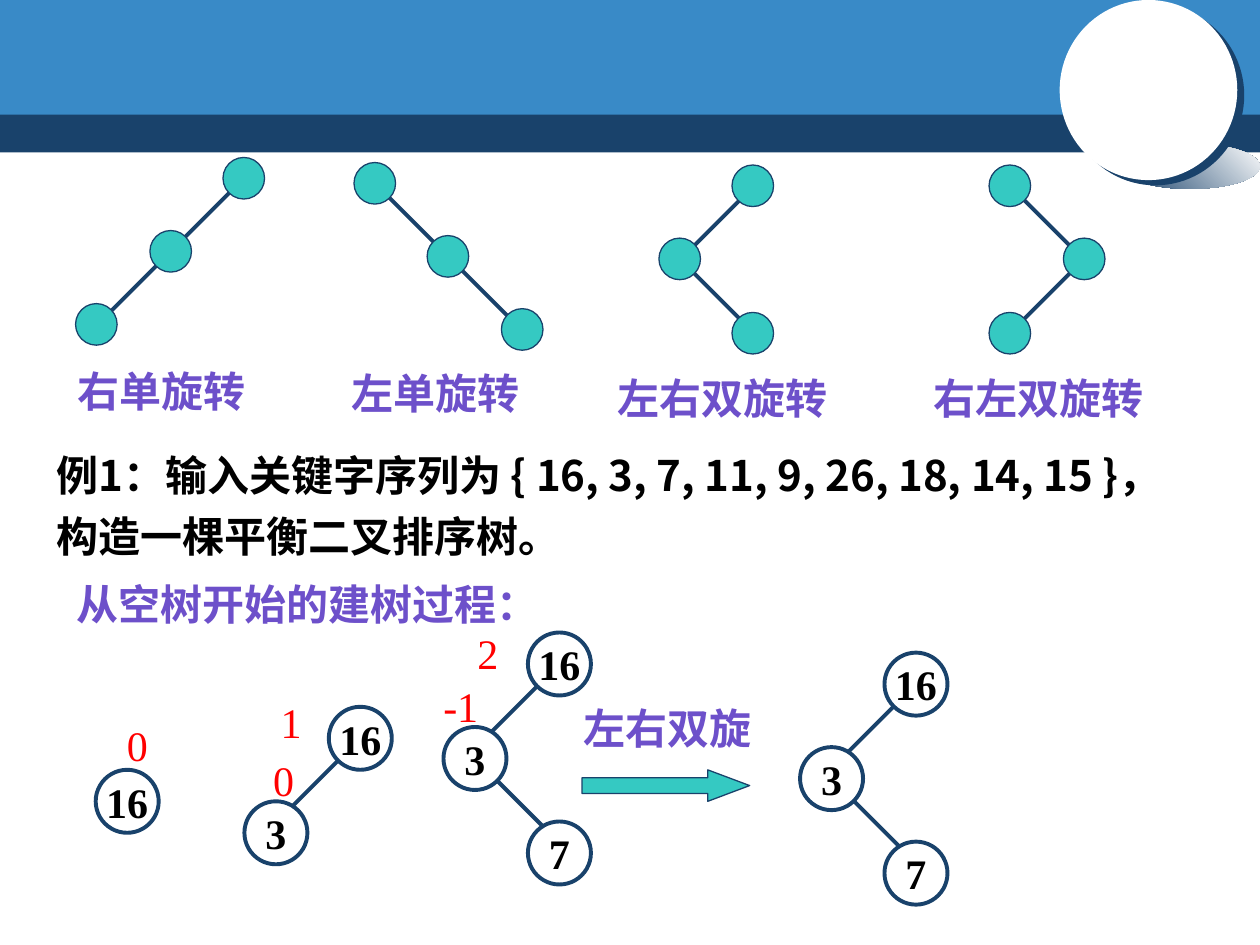
"""Builds the slide on rotations and balanced binary search trees."""
from lxml import etree
from pptx import Presentation
from pptx.dml.color import RGBColor
from pptx.enum.shapes import MSO_CONNECTOR, MSO_SHAPE
from pptx.enum.text import MSO_ANCHOR, PP_ALIGN
from pptx.oxml.ns import qn
from pptx.util import Inches, Pt

RECT, OVAL, ARROW = MSO_SHAPE.RECTANGLE, MSO_SHAPE.OVAL, MSO_SHAPE.RIGHT_ARROW
STRAIGHT = MSO_CONNECTOR.STRAIGHT
MIDDLE, CENTER = MSO_ANCHOR.MIDDLE, PP_ALIGN.CENTER
SANS, SERIF = "Noto Sans CJK SC", "Times New Roman"
COLORS = {"navy": "19426B", "blue": "398AC7", "teal": "35C9C2", "purple": "6D50CA",
          "red": "FF0000", "black": "000000", "white": "FFFFFF"}
DOT, NODE = 0.33, 0.5
STEP_X, STEP_Y = 0.67, 0.75


class SlideBuilder:
    def __init__(self, slide):
        self.s = slide

    def rgb(self, name):
        return RGBColor.from_string(COLORS[name])

    def shape(self, kind, x, y, w, h, fill, line=None):
        sp = self.s.shapes.add_shape(kind, Inches(x), Inches(y), Inches(w), Inches(h))
        sp.shadow.inherit = False
        sp.fill.solid()
        sp.fill.fore_color.rgb = self.rgb(fill)
        if line:
            sp.line.color.rgb = self.rgb("navy")
            sp.line.width = Pt(line)
        else:
            sp.line.fill.background()
        return sp

    def run(self, p, text, color, font=SERIF, bold=True):
        r = p.add_run()
        r.text = text
        r.font.size = Pt(24)
        r.font.bold = bold
        r.font.color.rgb = self.rgb(color)
        r.font.name = font
        etree.SubElement(r.font._element, qn("a:ea"), typeface=SANS)

    def text(self, x, y, w, h, text, color, font=SERIF, bold=True, spacing=1.0, wrap=False):
        sp = self.s.shapes.add_textbox(Inches(x), Inches(y), Inches(w), Inches(h))
        tf = sp.text_frame
        tf.word_wrap = wrap
        p = tf.paragraphs[0]
        p.line_spacing = spacing
        self.run(p, text, color, font, bold)

    def line(self, x1, y1, x2, y2):
        c = self.s.shapes.add_connector(STRAIGHT, Inches(x1), Inches(y1), Inches(x2), Inches(y2))
        c.line.color.rgb = self.rgb("navy")
        c.line.width = Pt(2.25)
        etree.SubElement(c._element.spPr, qn("a:effectLst"))

    def node(self, x, y, key):
        sp = self.shape(OVAL, x, y, NODE, NODE, "white", 2.25)
        tf = sp.text_frame
        tf.word_wrap = False
        tf.vertical_anchor = MIDDLE
        p = tf.paragraphs[0]
        p.alignment = CENTER
        self.run(p, key, "black")

    def edge(self, x, y, side):
        """Joins the node at x, y to its child on the left (-1) or right (1)."""
        cx, cy = x + NODE / 2, y + NODE / 2
        self.line(cx + side * 0.17, cy + 0.17,
                  cx + side * (STEP_X - 0.08), cy + STEP_Y - 0.16)

    def tree(self, x, y, keys):
        """Draws a root, its left child and that child's right child."""
        spots = [(x, y), (x - STEP_X, y + STEP_Y), (x, y + 2 * STEP_Y)]
        for (nx, ny), side in zip(spots[:len(keys) - 1], (-1, 1)):
            self.edge(nx, ny, side)
        for (nx, ny), key in zip(spots, keys):
            self.node(nx, ny, key)

    def balance(self, x, y, w, value):
        self.text(x, y, w, 0.5, value, "red", bold=False)

    def rotation(self, label, box, lines, dots):
        for ends in lines:
            self.line(*ends)
        for x, y in dots:
            self.shape(OVAL, x, y, DOT, DOT, "teal", 0.75)
        self.text(*box, 0.7, label, "purple", SANS, spacing=1.5)

    def banner(self):
        self.shape(RECT, 0, 0.87, 10, 0.34, "navy")
        self.shape(RECT, 0, 0, 10, 0.91, "blue")
        glow = self.shape(OVAL, 8.89, 1.14, 1.11, 0.36, "navy")
        glow.fill.gradient()
        glow.fill.gradient_angle = 45
        for stop, color, pos in zip(glow.fill.gradient_stops, ("navy", "white"), (0, 1)):
            stop.color.rgb = self.rgb(color)
            stop.position = pos
        disc = self.shape(OVAL, 8.41, 0, 1.41, 1.43, "white")
        effects = disc._element.spPr.find(qn("a:effectLst"))
        shadow = etree.SubElement(effects, qn("a:outerShdw"), dist=str(Pt(5)),
                                  dir=str(37 * 60000), algn="ctr", rotWithShape="0")
        etree.SubElement(shadow, qn("a:srgbClr"), val=COLORS["navy"])


ROTATIONS = [
    ("右单旋转", (0.52, 2.65, 1.54), [(1.85, 1.5, 0.85, 2.5)],
     [(1.77, 1.25), (1.19, 1.83), (0.6, 2.41)]),
    ("左单旋转", (2.69, 2.67, 1.54), [(3.06, 1.54, 4.06, 2.54)],
     [(2.81, 1.29), (3.39, 1.87), (3.98, 2.45)]),
    ("左右双旋转", (4.8, 2.71, 1.88), [(5.48, 2.14, 5.98, 2.64), (5.48, 1.98, 5.98, 1.48)],
     [(5.23, 1.89), (5.81, 1.31), (5.81, 2.48)]),
    ("右左双旋转", (7.31, 2.71, 1.88), [(8.1, 2.56, 8.6, 2.06), (8.1, 1.56, 8.6, 2.06)],
     [(8.44, 1.89), (7.85, 1.31), (7.85, 2.48)]),
]
TREES = [
    (0.76, 6.11, ["16"]),
    (2.61, 5.61, ["16", "3"]),
    (4.19, 5.02, ["16", "3", "7"]),
    (7.02, 5.18, ["16", "3", "7"]),
]
BALANCES = [(0.91, 5.66, 0.37, "0"), (2.13, 5.48, 0.37, "1"), (2.07, 5.94, 0.37, "0"),
            (3.69, 4.93, 0.37, "2"), (3.42, 5.35, 0.5, "-1")]


def main():
    prs = Presentation()
    prs.slide_width, prs.slide_height = Inches(10), Inches(7.5)
    b = SlideBuilder(prs.slides.add_slide(prs.slide_layouts[6]))
    b.banner()
    for rotation in ROTATIONS:
        b.rotation(*rotation)
    b.text(0.35, 3.44, 9.04, 1.06,
           "例1：输入关键字序列为 { 16, 3, 7, 11, 9, 26, 18, 14, 15 }，构造一棵平衡二叉排序树。",
           "black", SANS, spacing=1.2, wrap=True)
    b.text(0.51, 4.54, 3.89, 0.5, "从空树开始的建树过程：", "purple")
    for tree in TREES:
        b.tree(*tree)
    for balance in BALANCES:
        b.balance(*balance)
    b.text(4.53, 5.53, 1.66, 0.5, "左右双旋", "purple", wrap=True)
    arrow = b.shape(ARROW, 4.62, 6.11, 1.33, 0.25, "teal", 0.75)
    arrow.adjustments[1] = 1.33
    prs.save("out.pptx")


if __name__ == "__main__":
    main()
